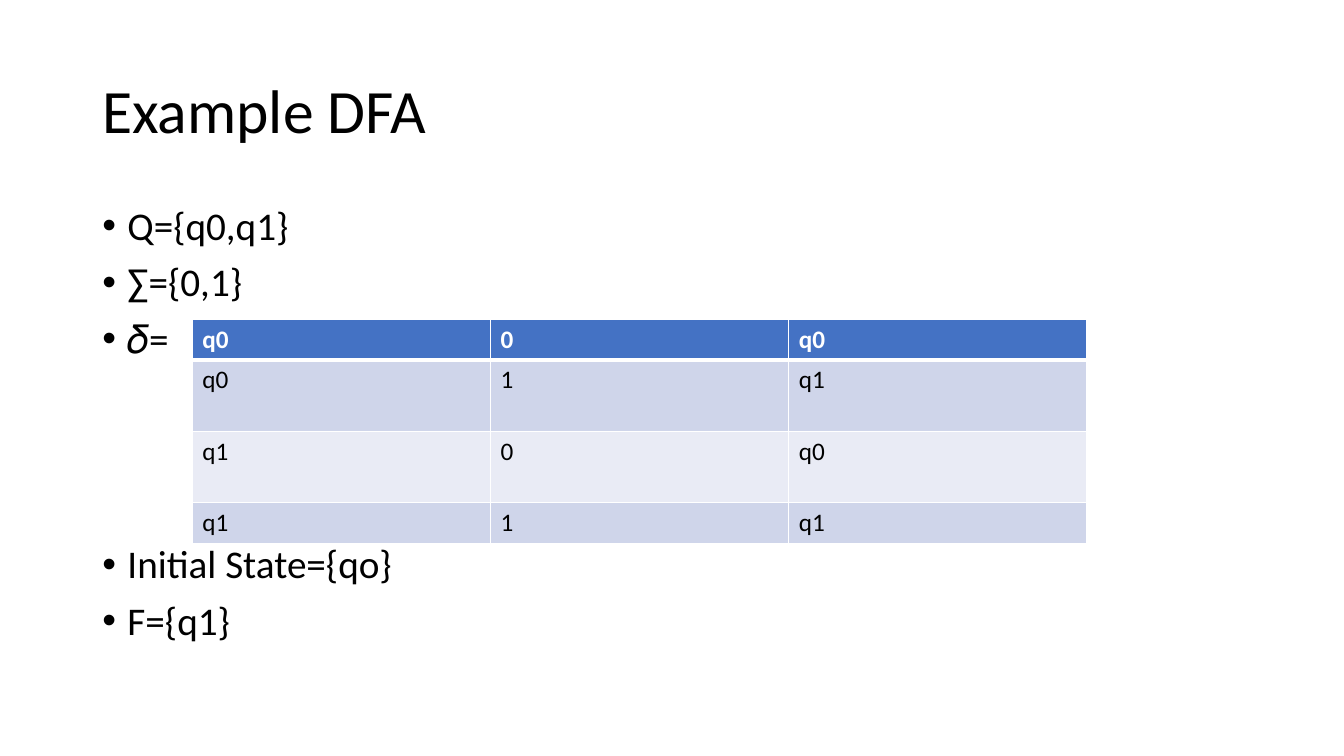
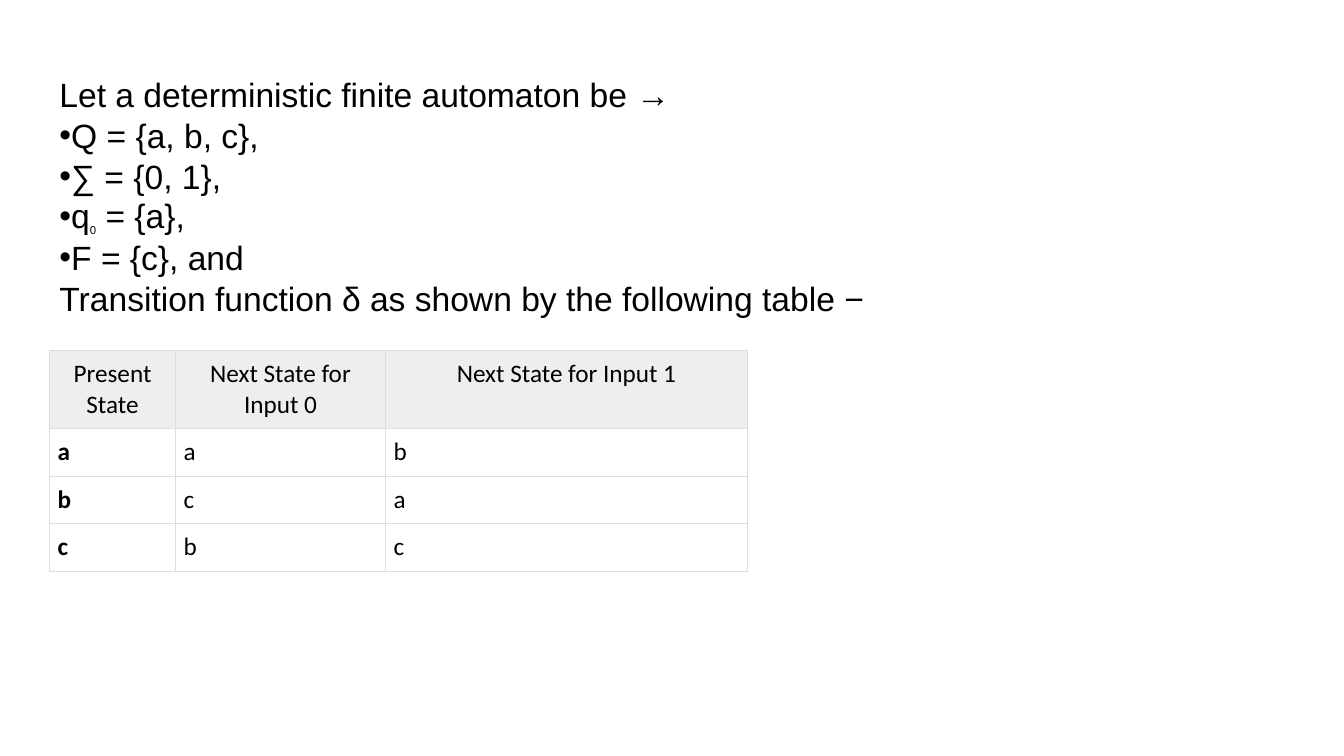
from lxml import etree
from pptx import Presentation
from pptx import util as u
from pptx.dml.color import RGBColor
from pptx.enum import text
from pptx.oxml.ns import qn

# Shared grid: 160 columns by 90 rows of square units
COLUMNS, ROWS = 160, 90
UNIT = u.Inches(7.5) / ROWS

BLACK, WHITE = "000000", "FFFFFF"
BLUE, BAND_DARK, BAND_LIGHT = "4472C4", "CFD5EA", "E9EBF5"
HEAD_GREY, RULE_GREY = "EEEEEE", "DDDDDD"
BODY_FONT, PLAIN_FONT = "Calibri", "Arial"


def grid(units):
    return u.Emu(round(units * UNIT))


def color(hex_code):
    return RGBColor.from_string(hex_code)


def style(paragraph, size, font=BODY_FONT, ink=BLACK, bold=False):
    for run in paragraph.runs:
        run.font.name, run.font.size = font, u.Pt(size)
        run.font.bold, run.font.color.rgb = bold, color(ink)


def add_bullet(paragraph, hanging=0):
    props = paragraph._p.get_or_add_pPr()
    props.set("marL", str(u.Inches(hanging)))
    props.set("indent", str(-u.Inches(hanging)))
    etree.SubElement(props, qn("a:buFont"), typeface="Arial")
    etree.SubElement(props, qn("a:buChar"), char="•")


def add_text(slide, place, lines, size, font=BODY_FONT,
             anchor=text.MSO_ANCHOR.TOP):
    """Write one paragraph per line and return the paragraphs."""
    frame = slide.shapes.add_textbox(*map(grid, place)).text_frame
    frame.word_wrap = True
    frame.vertical_anchor = anchor
    frame.text = "\n".join(lines)
    for paragraph in frame.paragraphs:
        paragraph.line_spacing = 0.9
        style(paragraph, size, font)
    return frame.paragraphs


def add_border(cell, side, hex_code, width):
    line = etree.SubElement(cell._tc.get_or_add_tcPr(), qn("a:ln" + side),
                            w=str(u.Pt(width)))
    fill = etree.SubElement(line, qn("a:solidFill"))
    etree.SubElement(fill, qn("a:srgbClr"), val=hex_code)


def add_table(slide, left, top, widths, heights, rows, format_cell):
    """Fill a table; format_cell(cell, row, column) styles each cell."""
    table = slide.shapes.add_table(
        len(rows), len(widths), grid(left), grid(top),
        grid(sum(widths)), grid(sum(heights))).table
    for column, width in zip(table.columns, widths):
        column.width = grid(width)
    for row, height in zip(table.rows, heights):
        row.height = grid(height)
    for r, values in enumerate(rows):
        for c, value in enumerate(values):
            cell = table.cell(r, c)
            cell.text = value
            format_cell(cell, r, c)


def format_transition(cell, row, column):
    header = row == 0
    style(cell.text_frame.paragraphs[0], 18,
          ink=WHITE if header else BLACK, bold=header)
    for side in "LRTB":
        under_header = (row, side) in ((0, "B"), (1, "T"))
        add_border(cell, side, WHITE, 3 if under_header else 1)
    cell.fill.solid()
    band = BAND_DARK if row % 2 else BAND_LIGHT
    cell.fill.fore_color.rgb = color(BLUE if header else band)


def format_next_state(cell, row, column):
    header = row == 0
    paragraph = cell.text_frame.paragraphs[0]
    style(paragraph, 18, bold=column == 0 and not header)
    cell.margin_left = cell.margin_right = u.Inches(0.08)
    cell.margin_top = cell.margin_bottom = u.Inches(0.08)
    for side in "LRTB":
        add_border(cell, side, RULE_GREY, 0.75)
    if header:
        paragraph.alignment = text.PP_ALIGN.CENTER
        cell.fill.solid()
        cell.fill.fore_color.rgb = color(HEAD_GREY)
    else:
        cell.fill.background()


def build_example(slide):
    # Title
    add_text(slide, (11, 4.8, 138, 17.4), ["Example DFA"], 44,
             anchor=text.MSO_ANCHOR.MIDDLE)

    # Definition, with room for the table before the initial state
    definition = add_text(
        slide, (11, 24, 138, 57),
        ["Q={q0,q1}", "∑={0,1}", "𝛿=", "Initial State={qo}", "F={q1}"], 28)
    for paragraph in definition:
        paragraph.space_before = u.Pt(10)
        add_bullet(paragraph, hanging=0.25)
    definition[3].space_before = u.Pt(131)

    # Transition table
    add_table(slide, 22.9, 38, [35.5] * 3, [4.85, 8.5, 8.5, 4.85],
              [("q0", "0", "q0"), ("q0", "1", "q1"),
               ("q1", "0", "q0"), ("q1", "1", "q1")], format_transition)


def build_automaton(slide):
    # Next-state table
    add_table(slide, 5.9, 41.7, [15, 25, 43.1], [9.3] + [5.67] * 3,
              [("Present State", "Next State for Input 0",
                "Next State for Input 1"),
               ("a", "a", "b"), ("b", "c", "a"), ("c", "b", "c")],
              format_next_state)

    # Description
    description = add_text(
        slide, (5.9, 8.75, 123.7, 29.7),
        ["Let a deterministic finite automaton be →", "Q = {a, b, c},",
         "∑ = {0, 1},", "q", "F = {c}, and",
         "Transition function δ as shown by the following table −"],
        24, PLAIN_FONT)
    description[0]._p.getparent().find(qn("a:bodyPr")).set("tIns", "0")
    for paragraph in description:
        paragraph.alignment = text.PP_ALIGN.JUSTIFY
        paragraph.line_spacing = u.Pt(29.1)
    for paragraph in description[1:-1]:
        add_bullet(paragraph)

    # Subscript of the initial state
    initial = description[3]
    for part in ("0", "\u00a0= {a},"):
        initial.add_run().text = part
    style(initial, 24, PLAIN_FONT)
    subscript = initial.runs[1].font
    subscript.size = u.Pt(14)
    subscript._element.set("baseline", "-30000")


def main():
    deck = Presentation()
    deck.slide_width, deck.slide_height = grid(COLUMNS), grid(ROWS)
    for build in (build_example, build_automaton):
        build(deck.slides.add_slide(deck.slide_layouts[6]))
    deck.save("out.pptx")


main()
